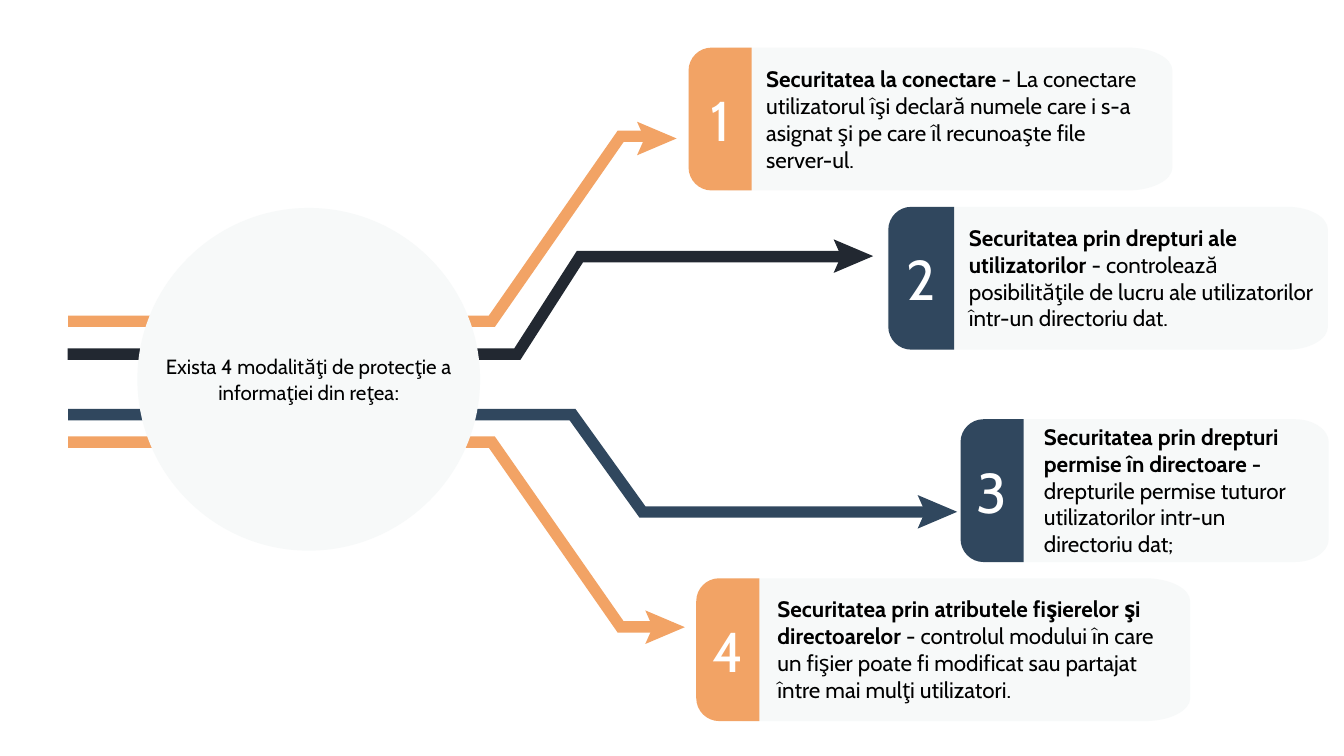
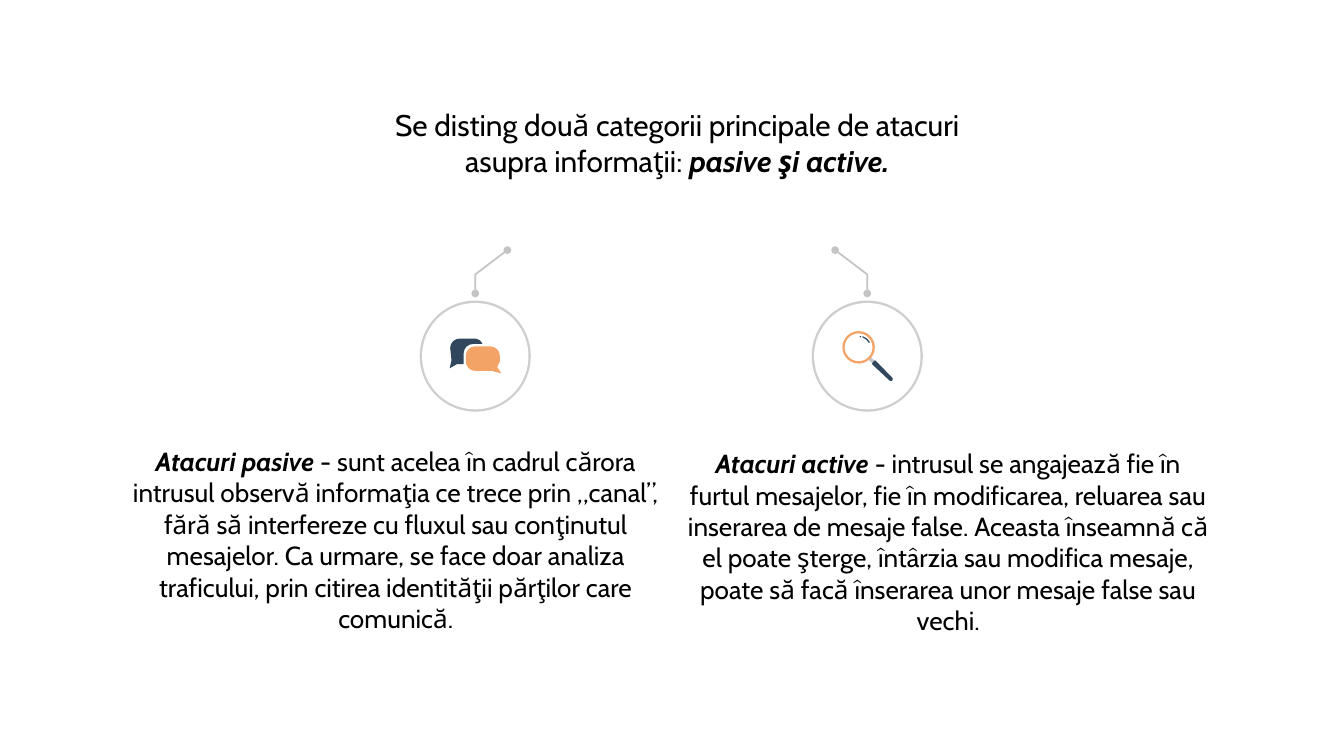
from math import atan2, tan

from pptx import Presentation
from pptx.dml.color import RGBColor
from pptx.enum.shapes import MSO_SHAPE
from pptx.enum.text import MSO_ANCHOR, MSO_AUTO_SIZE, PP_ALIGN
from pptx.oxml import parse_xml
from pptx.oxml.ns import nsdecls, qn
from pptx.util import Pt

ORANGE, NAVY, DARK, PALE = "F2A365", "30475E", "222831", "F7F9F9"
RING, GREY, WHITE, BLACK = "CECECE", "C4C4C4", "FFFFFF", "000000"
FONT = "Cabin"
BOLD = {"bold": True}
BOLD_ITALIC = {"bold": True, "italic": True}
CENTRED = {"vertical_anchor": MSO_ANCHOR.MIDDLE, "auto_size": MSO_AUTO_SIZE.NONE,
           "margin_top": Pt(7.2), "margin_bottom": Pt(7.2)}
GROWING = {"vertical_anchor": MSO_ANCHOR.TOP,
           "auto_size": MSO_AUTO_SIZE.SHAPE_TO_FIT_TEXT,
           "margin_top": Pt(3.6), "margin_bottom": Pt(3.6)}
CARD_H = 76.5
CORNER = 12.3
BAND_HALF = 3.05


def rgb(value):
    """Turn a hex string into a colour."""
    return RGBColor.from_string(value)


def quarter(start, corner, end):
    """Return a start point and a curve that rounds the corner to the end."""
    controls = [tuple(p + 0.55 * (c - p) for p, c in zip(point, corner))
                for point in (start, end)]
    return [start, (*controls, end)]


def circle(cx, cy, r):
    """Return a round outline of four curves."""
    turns = [(-1, 0), (0, -1), (1, 0), (0, 1), (-1, 0)]
    outline = [(cx - r, cy)]
    for (ax, ay), (bx, by) in zip(turns, turns[1:]):
        outline += quarter((cx + r * ax, cy + r * ay),
                           (cx + r * (ax + bx), cy + r * (ay + by)),
                           (cx + r * bx, cy + r * by))[1:]
    return outline


def left_corners(x, y, h, rx, ry):
    """Return the bottom left and top left rounded corners."""
    return (quarter((x + rx, y + h), (x, y + h), (x, y + h - ry))
            + quarter((x, y + ry), (x, y), (x + rx, y)))


def rounded(x, y, w, h, rx, ry):
    """Return the outline of a box with four rounded corners."""
    right, low = x + w, y + h
    return (left_corners(x, y, h, rx, ry)
            + quarter((right - rx, y), (right, y), (right, y + ry))
            + quarter((right, low - ry), (right, low), (right - rx, low)))


def paint(sp, color):
    """Give a shape a flat fill without outline or shadow."""
    sp.shadow.inherit = False
    sp.fill.solid()
    sp.fill.fore_color.rgb = rgb(color)
    sp.line.fill.background()
    return sp


def freeform(s, contours, close=True):
    """Build a freeform from contours of points and three-point curves."""
    builder, curves, count = None, [], 0
    for first, *steps in contours:
        x, y = (Pt(v) for v in first)
        if builder:
            builder.move_to(x, y)
        else:
            builder = s.shapes.build_freeform(x, y, scale=1.0)
        points = []
        for step in steps:
            if len(step) == 3:
                curves.append(count + len(points))
                points += step
            else:
                points.append(step)
        count += len(points)
        builder.add_line_segments([(Pt(a), Pt(b)) for a, b in points], close=close)
    sp = builder.convert_to_shape()
    lines = list(sp._element.iter(qn("a:lnTo")))
    for i in curves:
        curve = parse_xml(f"<a:cubicBezTo {nsdecls('a')}/>")
        lines[i].addprevious(curve)
        for line in lines[i:i + 3]:
            curve.append(line[0])
            line.getparent().remove(line)
    return sp


def polygon(s, color, *contours):
    """Draw a filled outline."""
    return paint(freeform(s, contours), color)


def disc(s, cx, cy, d, color, shape=MSO_SHAPE.OVAL):
    """Draw a round preset shape about its centre."""
    box = (Pt(v) for v in (cx - d / 2, cy - d / 2, d, d))
    return paint(s.shapes.add_shape(shape, *box), color)


def write(sp, paragraphs, size, color=BLACK, align=PP_ALIGN.CENTER, frame=CENTRED):
    """Fill a shape with paragraphs made of (text, format) runs."""
    tf = sp.text_frame
    sides = {"word_wrap": True, "margin_left": Pt(7.2), "margin_right": Pt(7.2)}
    for name, value in {**sides, **frame}.items():
        setattr(tf, name, value)
    for i, runs in enumerate(paragraphs):
        p = tf.add_paragraph() if i else tf.paragraphs[0]
        p.alignment = align
        for text, extra in runs:
            r = p.add_run()
            r.text = text
            base = {"name": FONT, "size": Pt(size), "bold": False, "italic": False}
            for name, value in {**base, **extra}.items():
                setattr(r.font, name, value)
            r.font.color.rgb = rgb(color)


def textbox(s, box, runs, size, align, frame=GROWING):
    """Add a one-paragraph text box."""
    sp = s.shapes.add_textbox(*(Pt(v) for v in box))
    write(sp, [runs], size, align=align, frame=frame)


def arrow(s, color, start, bend1, bend2, end, head):
    """Draw a bent band of even thickness and its arrowhead."""
    (x1, y1), (x2, y2) = bend1, bend2
    shift = BAND_HALF * tan(atan2(y2 - y1, x2 - x1) / 2)

    def edge(side):
        """Return one long edge of the band."""
        dx, dy = -side * shift, side * BAND_HALF
        return [(start, y1 + dy), (x1 + dx, y1 + dy),
                (x2 + dx, y2 + dy), (end, y2 + dy)]

    polygon(s, color, edge(-1) + edge(1)[::-1])
    hx, hy = head
    polygon(s, color, [(hx, hy - 9), (hx + 4, hy), (hx, hy + 9), (hx + 21.2, hy)])


def card(s, number, color, x, y, tab_w, body_x, body_w, box, frame, runs):
    """Draw a numbered card with its explanation."""
    polygon(s, PALE, rounded(body_x, y, body_w, CARD_H, 0.092 * body_w, CORNER))
    corners = left_corners(x, y, CARD_H, CORNER, CORNER)
    tab = polygon(s, color, corners + [(x + tab_w, y), (x + tab_w, y + CARD_H)])
    write(tab, [[(number, {})]], 30, WHITE)
    textbox(s, box, runs, 12, PP_ALIGN.LEFT, frame)


def badge(s, cx, side):
    """Draw a ringed circle with a bent pointer leaning to one side."""
    cy = 190.8
    disc(s, cx, cy, 59.5, RING)
    disc(s, cx, cy, 57, WHITE)
    tip = cx + side * 17.2
    band = [(cx - side * 0.45, 155.1), (cx - side * 0.45, 146.8),
            (tip - side * 2, 134.9), (tip - side * 1.4, 135.6),
            (cx + side * 0.45, 147.3), (cx + side * 0.45, 155.1)]
    polygon(s, GREY, circle(tip, 134, 2.1), band, circle(cx, 157.2, 2.1))


def bubbles(s):
    """Draw two speech bubbles."""
    back = (quarter((241.2, 186.5), (241.2, 181.4), (246.2, 181.4))
            + [(254.2, 181.4), ((256.2, 181.4), (257.8, 182.6), (258.5, 184.3))]
            + quarter((253.4, 184.3), (248.4, 184.3), (248.4, 189.3))
            + [(248.4, 195.1), (244.8, 195.1), (240.9, 197.3), (241.9, 193)])
    polygon(s, NAVY, back)
    front = (left_corners(249.6, 185.6, 13.1, 5, 5)
             + quarter((262.8, 185.6), (267.8, 185.6), (267.8, 190.6))
             + [(267.8, 193.7), (266.4, 196.6), (268.6, 200.1), (263.5, 198.7)])
    polygon(s, ORANGE, front)


def magnifier(s):
    """Draw a magnifying glass."""
    polygon(s, GREY, [(466.6, 191.5), (465.5, 192.9), (467.3, 194.6), (468.7, 193.4)])
    polygon(s, NAVY, [(468.7, 193), (467.2, 194.6), (467.4, 195.3), (476.6, 203.9),
                      (477.5, 204.2), (478.2, 203.6), (478.2, 202.5), (469.2, 193.3)])
    disc(s, 461, 180.4, 0.8, NAVY)
    polygon(s, NAVY, [(462.2, 180.1), ((464, 180.7), (465.4, 181.9), (466.1, 183.4)),
                      (465.5, 183.7), ((464.8, 182.4), (463.6, 181.3), (462, 180.7))])
    lens = disc(s, 460, 186.1, 17.4, ORANGE, MSO_SHAPE.DONUT)
    lens.adjustments[0] = 0.07


def protection_slide(prs):
    """Build the slide on the four ways of protection."""
    s = prs.slides.add_slide(prs.slide_layouts[6])
    arrows = [
        (ORANGE, 36.5, (263.5, 172.1), (332.5, 73), 351.4, (341.3, 74.2)),
        (DARK, 36.2, (277.2, 189.7), (310.7, 137.5), 452.2, (446.6, 137.2)),
        (NAVY, 36.5, (306.7, 222.1), (344.2, 274.3), 502.6, (491.6, 274.2)),
        (ORANGE, 36.5, (263.5, 236.9), (332.5, 335.9), 351.4, (345.7, 336)),
    ]
    for item in arrows:
        arrow(s, *item)
    hub = polygon(s, PALE, circle(165.4, 203.2, 91.8))
    write(hub, [[("Exista 4 modalităţi de protecţie a informaţiei din reţea", {}),
                 (":", {"size": Pt(12)})]], 11)
    cards = [
        (ORANGE, 368.9, 25.5, 33.8, 368.9, 259.2, (403.4, 25.5, 213.8, 76.5), CENTRED,
         "Securitatea la conectare ",
         "- La conectare utilizatorul îşi declară numele care i s-a asignat "
         "şi pe care îl recunoaşte file server-ul."),
        (NAVY, 475.9, 110.8, 35.2, 475.4, 236, (512, 116.4, 206.6, 65.5), GROWING,
         "Securitatea prin drepturi ale utilizatorilor ",
         "- controlează posibilităţile de lucru ale utilizatorilor "
         "într-un directoriu dat."),
        (NAVY, 514.6, 224.6, 33.8, 514.6, 197.2, (552.2, 223, 161.3, 79.9), GROWING,
         "Securitatea prin drepturi permise în directoare - ",
         "drepturile permise tuturor utilizatorilor intr-un directoriu dat;"),
        (ORANGE, 373, 309.8, 33.8, 375.2, 262.4, (409.4, 315.2, 222.5, 65.5), GROWING,
         "Securitatea prin atributele fişierelor şi directoarelor ",
         "- controlul modului în care un fişier poate fi modificat sau "
         "partajat între mai mulţi utilizatori."),
    ]
    for number, (*layout, heading, text) in enumerate(cards, 1):
        card(s, str(number), *layout, [(heading, BOLD), (text, {})])


def attacks_slide(prs):
    """Build the slide on passive and active attacks."""
    s = prs.slides.add_slide(prs.slide_layouts[5])
    badge(s, 254.6, 1)
    badge(s, 464.6, -1)
    magnifier(s)
    bubbles(s)
    title = s.shapes.title
    box = {"left": 58.7, "top": 57.2, "width": 608.4, "height": 38.2}
    for name, value in box.items():
        setattr(title, name, Pt(value))
    write(title, [[("Se disting două categorii principale de atacuri", {})],
                  [("asupra informaţii: ", {}), ("pasive şi active.", BOLD_ITALIC)]], 16)
    attacks = [
        (64.1, 235.1, "Atacuri pasive ",
         "- sunt acelea în cadrul cărora intrusul observă informaţia ce trece prin "
         "„canal”, fără să interfereze cu fluxul sau conţinutul mesajelor. Ca urmare, "
         "se face doar analiza traficului, prin citirea identităţii părţilor care "
         "comunică."),
        (360, 236.2, "Atacuri active ",
         "- intrusul se angajează fie în furtul mesajelor, fie în modificarea, "
         "reluarea sau inserarea de mesaje false. Aceasta înseamnă că el poate şterge, "
         "întârzia sau modifica mesaje, poate să facă înserarea unor mesaje false sau "
         "vechi."),
    ]
    for x, y, heading, text in attacks:
        textbox(s, (x, y, 295.9, 108.7), [(heading, BOLD_ITALIC), (text, {})], 14,
                PP_ALIGN.CENTER)


def main():
    """Build and save the presentation."""
    prs = Presentation()
    prs.slide_width, prs.slide_height = Pt(720), Pt(405)
    protection_slide(prs)
    attacks_slide(prs)
    prs.save("out.pptx")


if __name__ == "__main__":
    main()
